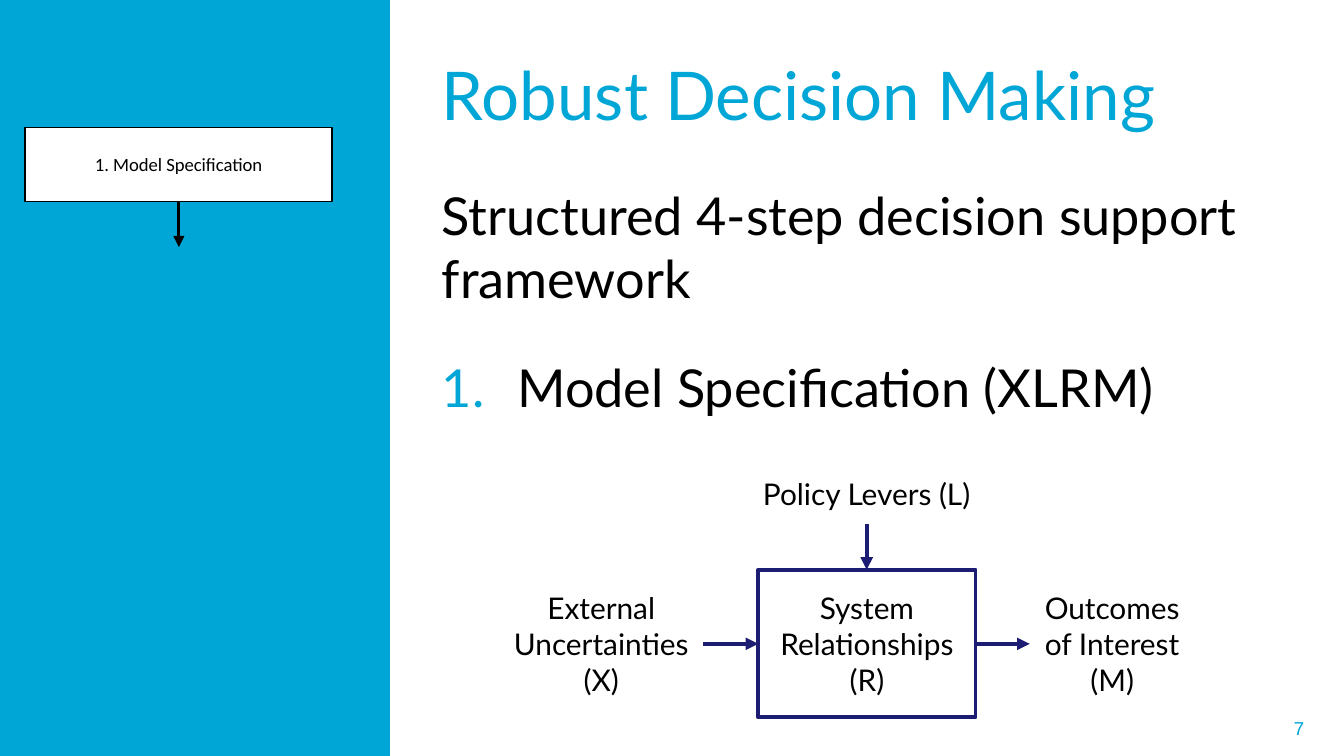
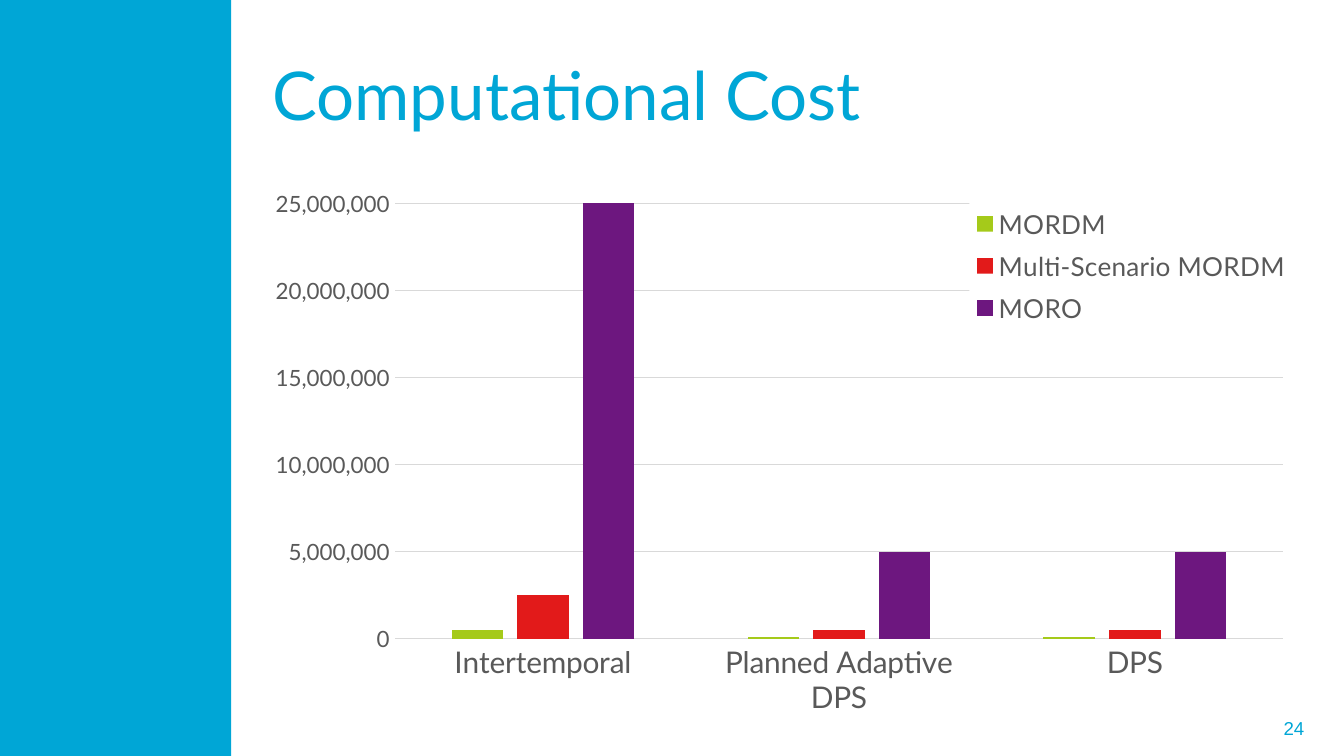
from lxml import etree
from pptx import Presentation
from pptx import util as u
from pptx.chart import data as chart_data
from pptx.dml.color import RGBColor
from pptx.enum import chart as ch, shapes, text
from pptx.oxml import parse_xml
from pptx.oxml.ns import nsdecls, qn

COLORS = {
    "cyan": "00A6D6", "navy": "1D1C73", "black": "000000", "white": "FFFFFF",
    "gray": "595959", "grid": "D9D9D9",
    "green": "A5CA1A", "red": "E21A1A", "purple": "6D177F",
}
RGB = {name: RGBColor.from_string(value) for name, value in COLORS.items()}
LEFT, CENTER, RIGHT = text.PP_ALIGN.LEFT, text.PP_ALIGN.CENTER, text.PP_ALIGN.RIGHT
MIDDLE, TOP = text.MSO_ANCHOR.MIDDLE, text.MSO_ANCHOR.TOP


def write(box, content, size=16, font="Lato", color="black", align=CENTER,
          anchor=MIDDLE, inset=(0.15, 0.08), before=0):
    """Fill a shape with one paragraph per line of content."""
    frame = box.text_frame
    frame.text = content
    frame.word_wrap = True
    frame.auto_size = text.MSO_AUTO_SIZE.NONE
    frame.vertical_anchor = anchor
    frame.margin_left = frame.margin_right = u.Cm(inset[0])
    frame.margin_top = frame.margin_bottom = u.Cm(inset[1])
    for index, para in enumerate(frame.paragraphs):
        para.alignment = align
        para.space_before = u.Pt(before if index else 0)
        for span in para.runs:
            span.font.size = u.Pt(size)
            span.font.name = font
            span.font.color.rgb = RGB[color]


def add_box(page, place, fill=None, line=None, width=1):
    """Add a rectangle, or a text box when it has neither fill nor line."""
    place = [u.Cm(value) for value in place]
    if not (fill or line):
        return page.shapes.add_textbox(*place)
    box = page.shapes.add_shape(shapes.MSO_SHAPE.RECTANGLE, *place)
    box.shadow.inherit = False
    if fill:
        box.fill.solid()
        box.fill.fore_color.rgb = RGB[fill]
    else:
        box.fill.background()
    if line:
        box.line.color.rgb = RGB[line]
        box.line.width = u.Pt(width)
    else:
        box.line.fill.background()
    return box


deck = Presentation()
deck.slide_width, deck.slide_height = u.Cm(25.4), u.Cm(14.29)
WIDE_INSET = (0.25, 0.13)
RIGHT_EDGE = 24.64

# Shared frame: band, title and page number
pages = []
for layout, title, left, number in [
    (1, "Robust Decision Making", 8.1, "7"),
    (5, "Computational Cost", 4.9, "24"),
]:
    page = deck.slides.add_slide(deck.slide_layouts[layout])
    pages.append(page)
    add_box(page, (0, 0, 4.37, 14.29), fill="cyan")
    box = page.shapes.title
    box.left, box.top = u.Cm(left), u.Cm(0.58)
    box.width, box.height = u.Cm(RIGHT_EDGE - left), u.Cm(2.39)
    write(box, title, size=36, color="cyan", align=LEFT, inset=WIDE_INSET)
    box = add_box(page, (18.47, 13.39, 6.43, 0.76))
    write(box, number, size=10, font="Arial", color="cyan", align=RIGHT,
          inset=WIDE_INSET)
framework, cost = pages

# Framework: wider band and body text
add_box(framework, (3.76, 0, 3.61, 14.29), fill="cyan")
body = framework.placeholders[1]
body.left, body.top = u.Cm(8.1), u.Cm(3.33)
body.width, body.height = u.Cm(16.54), u.Cm(9.68)
write(body, "Structured 4-step decision support framework\nModel Specification (XLRM)",
      size=28, align=LEFT, anchor=TOP, inset=WIDE_INSET, before=25)
intro, step = [para._p.get_or_add_pPr() for para in body.text_frame.paragraphs]
for properties, indent in [(intro, 0), (step, u.Cm(1.43))]:
    properties.set("marL", str(indent))
    properties.set("indent", str(-indent))
etree.SubElement(intro, qn("a:buNone"))
bullet_color = etree.SubElement(step, qn("a:buClr"))
etree.SubElement(bullet_color, qn("a:srgbClr"), val=COLORS["cyan"])
etree.SubElement(step, qn("a:buFont"), typeface="+mj-lt")
etree.SubElement(step, qn("a:buAutoNum"), type="arabicPeriod")

# Framework: step marker in the band
box = add_box(framework, (0.48, 2.41, 5.79, 1.4), fill="white", line="black")
write(box, "1. Model Specification", size=10, font="Calibri")

# Framework: XLRM diagram
for content, place, line in [
    ("System Relationships\n(R)", (14.33, 10.77, 4.11, 2.79), "navy"),
    ("Policy Levers (L)", (14.07, 8.76, 4.62, 1.14), None),
    ("External Uncertainties\n(X)", (9.42, 10.77, 3.89, 2.79), None),
    ("Outcomes of Interest\n(M)", (19.46, 10.77, 3.12, 2.79), None),
]:
    write(add_box(framework, place, line=line, width=2), content)

# Framework: arrows
for ends, color, width in [
    ((3.38, 3.81, 3.38, 4.67), "black", 1.5),
    ((16.38, 9.91, 16.38, 10.77), "navy", 2.25),
    ((13.28, 12.17, 14.33, 12.17), "navy", 2.25),
    ((18.44, 12.17, 19.46, 12.17), "navy", 2.25),
]:
    arrow = framework.shapes.add_connector(
        shapes.MSO_CONNECTOR.STRAIGHT, *[u.Cm(value) for value in ends])
    arrow.line.color.rgb = RGB[color]
    arrow.line.width = u.Pt(width)
    etree.SubElement(arrow.line._get_or_add_ln(), qn("a:tailEnd"), type="triangle")
    etree.SubElement(arrow._element.spPr, qn("a:effectLst"))

# Cost: column chart
series_rows = [
    ("MORDM", (500000, 100000, 100000), "green"),
    ("Multi-Scenario MORDM", (2500000, 500000, 500000), "red"),
    ("MORO", (25000000, 5000000, 5000000), "purple"),
]
data = chart_data.CategoryChartData(number_format="#,##0")
data.categories = ["Intertemporal", "Planned Adaptive DPS", "DPS"]
for name, values, color in series_rows:
    data.add_series(name, values)
chart = cost.shapes.add_chart(
    ch.XL_CHART_TYPE.COLUMN_CLUSTERED,
    u.Cm(4.9), u.Cm(3.33), u.Cm(19.74), u.Cm(10.29), data).chart
chart.has_title = False
chart.has_legend = True
chart.legend.position = ch.XL_LEGEND_POSITION.RIGHT
chart.legend.include_in_layout = True
plot = chart.plots[0]
plot.gap_width, plot.overlap = 219, -27
plot.vary_by_categories = False
for series, (name, values, color) in zip(plot.series, series_rows):
    series.invert_if_negative = False
    series.format.fill.solid()
    series.format.fill.fore_color.rgb = RGB[color]

# Cost: axes and fonts
category_axis, value_axis = chart.category_axis, chart.value_axis
for font, size, color in [
    (chart.font, 10, "black"),
    (category_axis.tick_labels.font, 16, "gray"),
    (value_axis.tick_labels.font, 12, "gray"),
    (chart.legend.font, 14, "gray"),
]:
    font.name, font.size = "Lato", u.Pt(size)
    font.color.rgb = RGB[color]
for axis in (category_axis, value_axis):
    axis.major_tick_mark = axis.minor_tick_mark = ch.XL_TICK_MARK.NONE
value_axis.minimum_scale, value_axis.maximum_scale = 0, 25000000
value_axis.major_unit = 5000000
value_axis.tick_labels.number_format = "#,##0"
value_axis.tick_labels.number_format_is_linked = False
value_axis.format.line.fill.background()
for line in (category_axis.format.line, value_axis.major_gridlines.format.line):
    line.color.rgb = RGB["grid"]
    line.width = u.Pt(0.75)

# Cost: plot and legend positions, as shares of the chart
legend = chart.element.xpath(".//c:legend")[0]
plot_area = chart.element.xpath(".//c:plotArea")[0]
for part, index, target, shares in [
    (plot_area, 0, '<c:layoutTarget val="inner"/>', (0.13, 0.05, 0.85, 0.8)),
    (legend, 1, "", (0.68, 0.04, 0.31, 0.25)),
]:
    for old in part.findall(qn("c:layout")):
        part.remove(old)
    sizes = "".join(f'<c:{key} val="{share}"/>' for key, share in zip("xywh", shares))
    part.insert(index, parse_xml(
        f'<c:layout {nsdecls("c")}><c:manualLayout>{target}<c:xMode val="edge"/>'
        f'<c:yMode val="edge"/>{sizes}</c:manualLayout></c:layout>'))
legend.find(qn("c:overlay")).addnext(parse_xml(
    f'<c:spPr {nsdecls("c", "a")}><a:solidFill><a:srgbClr val="{COLORS["white"]}"/>'
    '</a:solidFill></c:spPr>'))

deck.save("out.pptx")
